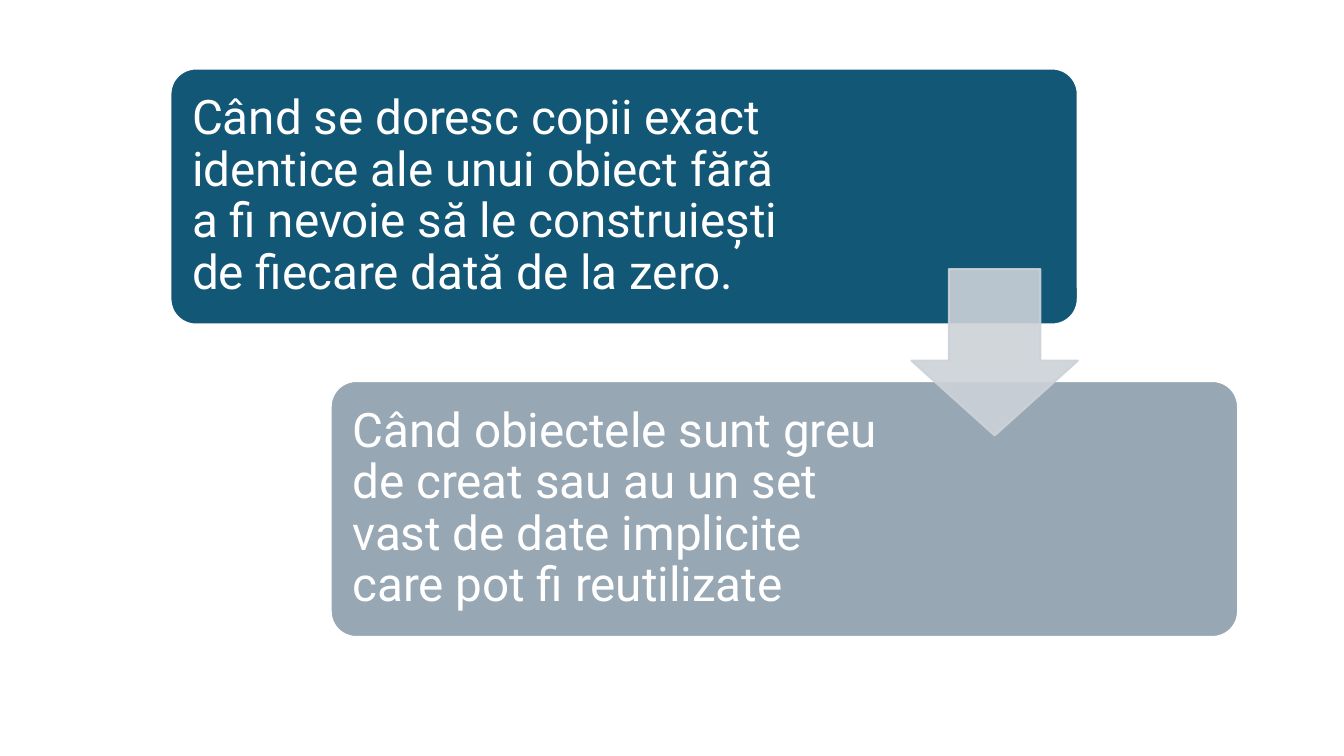
from dataclasses import dataclass

from lxml.etree import SubElement
from pptx import Presentation
from pptx.dml.color import RGBColor
from pptx.enum.shapes import MSO_SHAPE
from pptx.enum.text import MSO_ANCHOR, PP_ALIGN
from pptx.oxml.ns import qn
from pptx.util import Inches, Pt


@dataclass(frozen=True)
class Theme:
    font: str = "Roboto"
    size: int = 34
    line_width: float = 1.5
    white: str = "FFFFFF"
    teal: str = "135776"
    slate: str = "98A7B4"
    arrow: str = "CCD2D8"
    arrow_alpha: int = 90


class Deck:
    def __init__(self, prs, theme):
        self.theme = theme
        self.s = prs.slides.add_slide(prs.slide_layouts[6])

    def shape(self, kind, box, adjustments, fill, line, alpha=100):
        sp = self.s.shapes.add_shape(kind, *map(Inches, box))
        sp.shadow.inherit = False
        for i, value in enumerate(adjustments):
            sp.adjustments[i] = value
        sp.line.width = Pt(self.theme.line_width)
        sp.fill.solid()
        sp.line.fill.solid()
        for paint, color in ((sp.fill, fill), (sp.line.fill, line)):
            paint.fore_color.rgb = RGBColor.from_string(color)
        # Transparency of fill and outline
        if alpha < 100:
            for clr in sp._element.spPr.iter(qn("a:srgbClr")):
                SubElement(clr, qn("a:alpha"), val=str(alpha * 1000))

    def text(self, box, wording):
        tf = self.s.shapes.add_textbox(*map(Inches, box)).text_frame
        tf.word_wrap = True
        tf.vertical_anchor = MSO_ANCHOR.MIDDLE
        tf.margin_left = tf.margin_right = Inches(0.14)
        tf.margin_top = tf.margin_bottom = Inches(0.14)
        tf.text = wording
        p = tf.paragraphs[0]
        p.alignment = PP_ALIGN.LEFT
        p.line_spacing = 0.9
        font = p.runs[0].font
        font.name = self.theme.font
        font.size = Pt(self.theme.size)
        font.color.rgb = RGBColor.from_string(self.theme.white)

    def card(self, left, top, fill, text_width, wording):
        width, height, pad = 9, 2.54, 0.075
        self.shape(MSO_SHAPE.ROUNDED_RECTANGLE, (left, top, width, height),
                   [0.1], fill, self.theme.white)
        self.text((left + pad, top + pad, text_width, height - 2 * pad), wording)

    def arrow(self, left, top, side):
        color = self.theme.arrow
        self.shape(MSO_SHAPE.DOWN_ARROW, (left, top, side, side),
                   [0.55, 0.45], color, color, self.theme.arrow_alpha)


def main():
    prs = Presentation()
    prs.slide_width, prs.slide_height = Inches(13.33), Inches(7.5)
    theme = Theme()
    deck = Deck(prs, theme)

    # Two staggered cards
    deck.card(1.69, 0.68, theme.teal, 6.38,
              "Când se doresc copii exact identice ale unui obiect fără a fi "
              "nevoie să le construiești de fiecare dată de la zero.")
    deck.card(3.28, 3.78, theme.slate, 5.61,
              "Când obiectele sunt greu de creat sau au un set vast de date "
              "implicite care pot fi reutilizate")

    # Arrow leading from the first card to the second
    deck.arrow(9.04, 2.67, 1.65)

    prs.save("out.pptx")


if __name__ == "__main__":
    main()
